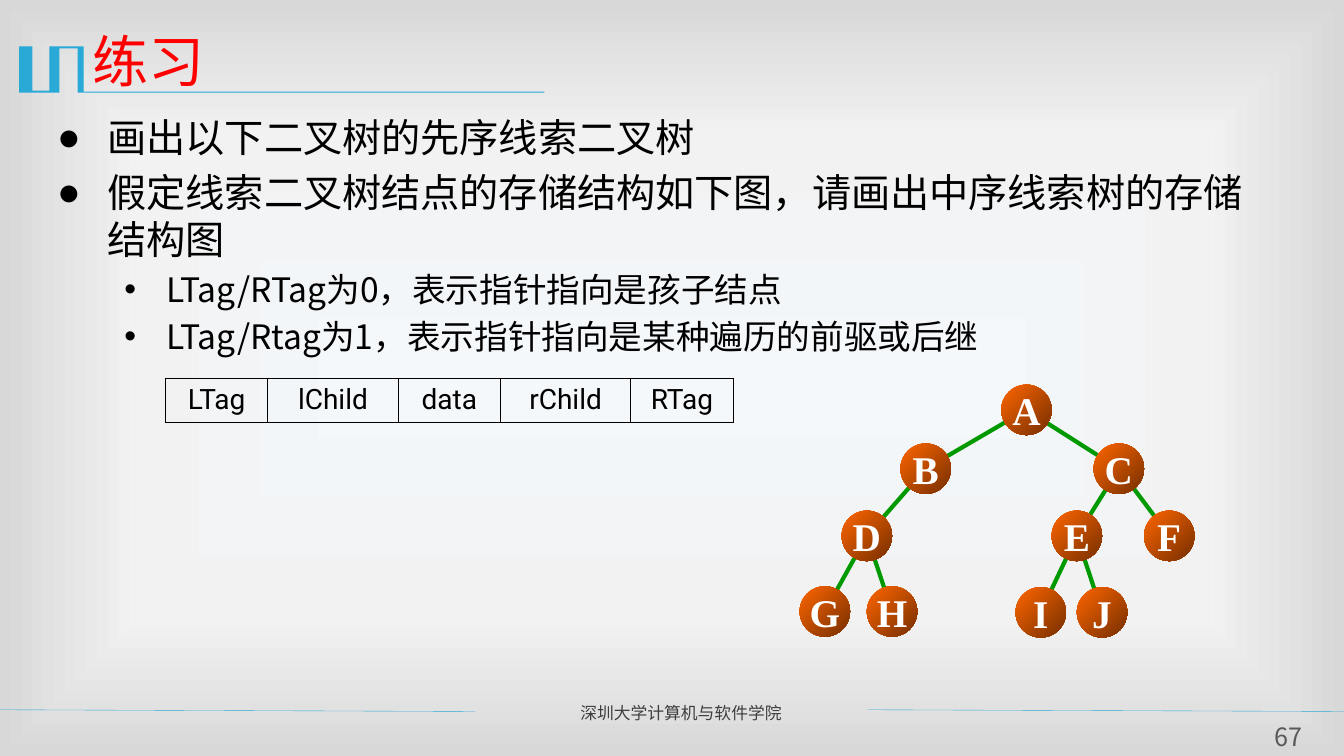
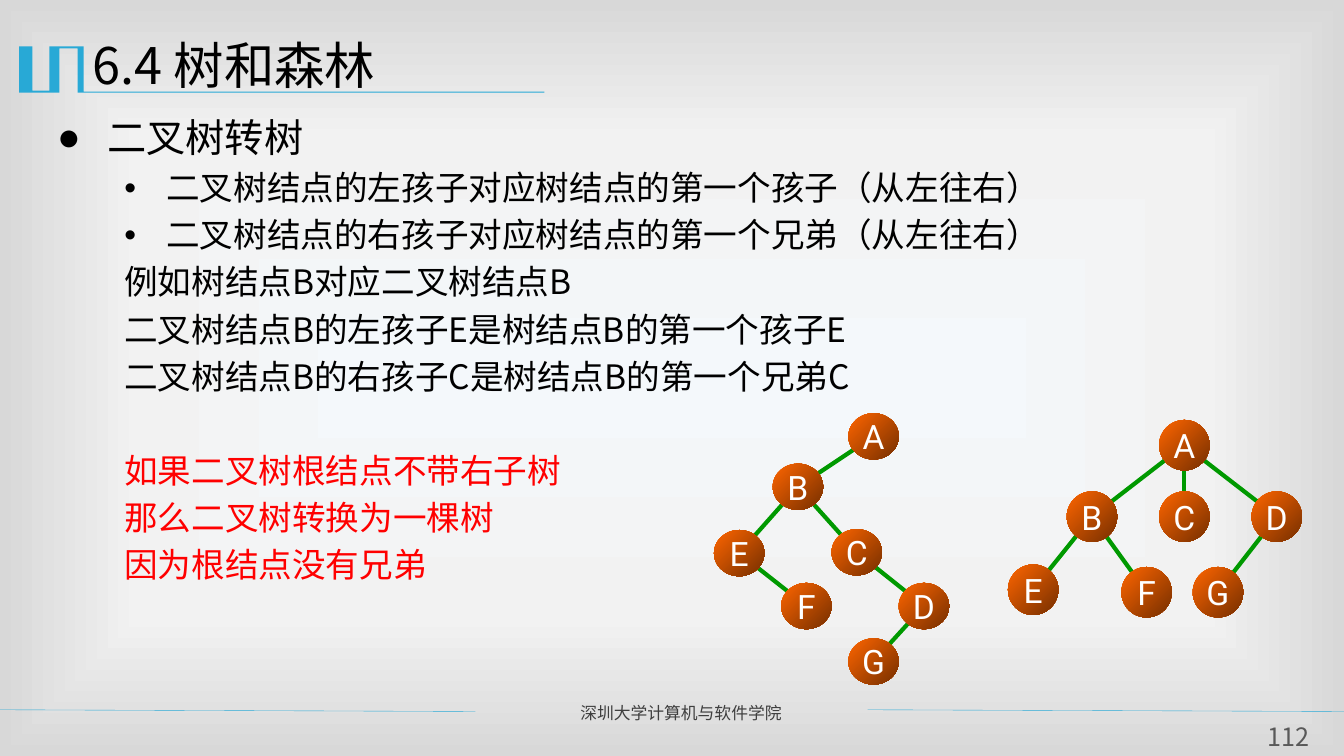
import copy

import lxml.etree
import pptx
import pptx.chart.data
import pptx.dml.color
import pptx.enum.shapes
import pptx.enum.text
import pptx.oxml.ns
import pptx.util

COLS, ROWS = 160, 90
SANS, ROBO, TIMES = "Noto Sans CJK SC", "Roboto", "Times New Roman"
BLACK, WHITE, RED, GREEN, BLUE = "000000", "FFFFFF", "FF0000", "009900", "28A9D6"
ALIGN = pptx.enum.text.PP_ALIGN
ANCHOR = pptx.enum.text.MSO_ANCHOR
qn = pptx.oxml.ns.qn


def cell(count):
    return pptx.util.Emu(round(count * 76200))


def area(*box):
    return [cell(part) for part in box]


def hue(code):
    return pptx.dml.color.RGBColor.from_string(code)


def grade(fill, codes):
    for stop, code in zip(fill.gradient_stops, codes):
        stop.color.rgb = hue(code)


def write(frame, text, size=24, color=BLACK, face=SANS, bold=False,
          align=ALIGN.LEFT, before=0, mark="", left=0, hang=0):
    first = not frame.text
    para = frame.paragraphs[0] if first else frame.add_paragraph()
    props = para._p.get_or_add_pPr()
    props.set("marL", str(cell(left)))
    props.set("indent", str(cell(-hang)))
    if mark:
        lxml.etree.SubElement(props, qn("a:buChar")).set("char", mark)
    else:
        lxml.etree.SubElement(props, qn("a:buNone"))
    para.alignment = align
    para.space_before = pptx.util.Pt(0 if first else before)
    if face == SANS:
        para.line_spacing = pptx.util.Pt(round(size * 1.2, 1))
        if first:
            frame.margin_top += pptx.util.Pt(size * 0.09)
    run = para.add_run()
    run.text = text
    font = run.font
    font.size, font.bold, font.name = pptx.util.Pt(size), bold, face
    font.color.rgb = hue(color)
    east = lxml.etree.SubElement(run._r.get_or_add_rPr(), qn("a:ea"))
    east.set("typeface", face)


def setup(frame, inset=None, anchor=ANCHOR.TOP, wrap=True):
    frame.auto_size = pptx.enum.text.MSO_AUTO_SIZE.NONE
    frame.word_wrap = wrap
    frame.vertical_anchor = anchor
    if inset is not None:
        frame.margin_left = frame.margin_right = cell(inset)
        frame.margin_top = frame.margin_bottom = cell(inset)
    return frame


def label(slide, box, text, inset=None, **style):
    shape = slide.shapes.add_textbox(*area(*box))
    write(setup(shape.text_frame, inset), text, **style)
    return shape


def line(slide, start, end, color, width):
    link = slide.shapes.add_connector(
        pptx.enum.shapes.MSO_CONNECTOR.STRAIGHT, *area(*start, *end))
    link.line.color.rgb = hue(color)
    link.line.width = pptx.util.Pt(width)
    lxml.etree.SubElement(link._element.spPr, qn("a:effectLst"))
    return link


def emblem(slide):
    points = [(9.84, 5.52), (9.96, 5.52), (9.96, 10.92), (64.8, 10.92),
              (64.8, 11.04), (9.24, 11.04), (9.24, 5.76), (7.08, 5.76),
              (7.08, 11.04), (2.28, 11.04), (2.28, 5.52), (3.84, 5.52),
              (3.84, 10.8), (5.88, 10.8), (5.88, 5.52)]
    points = [(round(x * 100), round(y * 100)) for x, y in points]
    maker = slide.shapes.build_freeform(*points[0], scale=762)
    maker.add_line_segments(points[1:], close=True)
    shape = maker.convert_to_shape()
    shape.shadow.inherit = False
    shape.fill.solid()
    shape.fill.fore_color.rgb = hue(BLUE)
    shape.line.fill.background()
    return shape


def paint(layout):
    fill = layout.background.fill
    fill.gradient()
    grad = next(layout.element.iter(qn("a:gradFill")))
    stops = grad.find(qn("a:gsLst"))
    stops.insert(1, copy.deepcopy(stops[0]))
    grade(fill, ["F4F8FB", "F2F2F2", "D8D8D8"])
    for stop, place in zip(fill.gradient_stops, (0, 0.63, 1)):
        stop.position = place
    old = grad.find(qn("a:lin"))
    ring = lxml.etree.Element(qn("a:path"), path="rect")
    rect = lxml.etree.SubElement(ring, qn("a:fillToRect"))
    for side in "ltrb":
        rect.set(side, "50000")
    grad.replace(old, ring)


def dress(layout, slide):
    for holder in list(layout.placeholders)[2:]:
        holder.element.getparent().remove(holder.element)
    paint(layout)
    parts = [
        emblem(slide),
        line(slide, (0, 84.5), (56.6, 84.7), BLUE, 0.25),
        label(slide, (67.9, 82.9, 34.2, 3.6), "深圳大学计算机与软件学院",
              size=12, color="3F3F3F"),
        line(slide, (103.3, 84.5), (COLS, 84.7), BLUE, 0.25),
    ]
    for part in parts:
        layout.element.cSld.spTree.append(part.element)


def head(slide, text, top, **style):
    title = slide.shapes.title
    title.left, title.top, title.width, title.height = area(9.8, top, 144, 10.4)
    write(setup(title.text_frame), text, **style)


def body(slide, items):
    holder = slide.placeholders[1]
    holder.left, holder.top, holder.width, holder.height = area(5.6, 12.5, 145.6, 67.6)
    frame = setup(holder.text_frame)
    for text, style in items:
        write(frame, text, **style)


def number(slide, text):
    label(slide, (149.8, 85.6, 7.1, 3.7), text, inset=0, size=18,
          color="595959", align=ALIGN.CENTER)


def record(slide, box, names, widths):
    table = slide.shapes.add_table(1, len(names), *area(*box)).table
    table.first_row = table.horz_banding = False
    for index, (name, width) in enumerate(zip(names, widths)):
        table.columns[index].width = cell(width)
        field = table.cell(0, index)
        field.fill.background()
        field.vertical_anchor = ANCHOR.MIDDLE
        field.margin_top = field.margin_bottom = cell(0.4)
        write(field.text_frame, name, size=20, face=ROBO, align=ALIGN.CENTER)
        props = field._tc.get_or_add_tcPr()
        for place, side in enumerate(("lnL", "lnR", "lnT", "lnB")):
            edge = lxml.etree.Element(qn("a:" + side), w="9525")
            solid = lxml.etree.SubElement(edge, qn("a:solidFill"))
            lxml.etree.SubElement(solid, qn("a:srgbClr")).set("val", BLACK)
            props.insert(place, edge)


def tree(slide, origin, nodes, links, tall=6, **style):
    wide = 6
    left, top = origin
    spots = {name: (left + x, top + y) for name, (x, y) in nodes.items()}
    mids = {name: (x + wide / 2, y + tall / 2) for name, (x, y) in spots.items()}
    for start, end in links.split():
        line(slide, mids[start], mids[end], GREEN, 3)
    for name, spot in spots.items():
        ball = slide.shapes.add_shape(
            pptx.enum.shapes.MSO_SHAPE.OVAL, *area(*spot, wide, tall))
        ball.shadow.inherit = False
        ball.fill.gradient()
        ball.fill.gradient_angle = 315
        grade(ball.fill, ["FF6600", "762F00"])
        ball.line.fill.background()
        frame = setup(ball.text_frame, 0, ANCHOR.MIDDLE, False)
        write(frame, name, color=WHITE, align=ALIGN.CENTER, **style)


TOP = dict(size=28, before=5.6, mark="●", left=6, hang=6)
SUB = dict(before=4.8, mark="•", left=13, hang=5)
PLAIN = dict(before=4.8, left=8)
WARN = dict(PLAIN, color=RED)


def task(slide):
    head(slide, "练习", 1.9, size=40, color=RED)
    body(slide, [
        ("画出以下二叉树的先序线索二叉树", TOP),
        ("假定线索二叉树结点的存储结构如下图，请画出中序线索树的存储结构图", TOP),
        ("LTag/RTag为0，表示指针指向是孩子结点", SUB),
        ("LTag/Rtag为1，表示指针指向是某种遍历的前驱或后继", SUB),
    ])
    record(slide, (19.7, 45, 67.6, 5.3),
           ["LTag", "lChild", "data", "rChild", "RTag"],
           [12.2, 15.5, 12.2, 15.5, 12.2])
    nodes = dict(A=(24, 0), B=(12, 7), C=(35, 7), D=(5, 15), E=(30, 15),
                 F=(41, 15), G=(0, 24), H=(8, 24), I=(25.7, 24.1), J=(33, 24.1))
    tree(slide, (95.2, 45.8), nodes, "AB AC BD CE CF DG DH EI EJ",
         size=28, face=TIMES, bold=True)
    number(slide, "67")


def forest(slide):
    head(slide, "6.4 树和森林", 2.9, size=36)
    body(slide, [
        ("二叉树转树", TOP),
        ("二叉树结点的左孩子对应树结点的第一个孩子（从左往右）", SUB),
        ("二叉树结点的右孩子对应树结点的第一个兄弟（从左往右）", SUB),
        ("例如树结点B对应二叉树结点B", PLAIN),
        ("二叉树结点B的左孩子E是树结点B的第一个孩子E", PLAIN),
        ("二叉树结点B的右孩子C是树结点B的第一个兄弟C", PLAIN),
        ("如果二叉树根结点不带右子树", dict(WARN, before=38.4)),
        ("那么二叉树转换为一棵树", WARN),
        ("因为根结点没有兄弟", WARN),
    ])
    pair = dict(A=(16, 0), B=(7, 6), C=(14, 13.8), D=(22, 20.2),
                E=(0, 13.9), F=(8, 20.2), G=(16, 26.8))
    tree(slide, (85, 49.2), pair, "AB BE BC EF CD DG", tall=5.5, face=ROBO)
    wide = dict(A=(18, 0), B=(7, 8.5), C=(18, 8.5), D=(29, 8.5),
                E=(0, 17.2), F=(13.5, 17.5), G=(22, 17.5))
    tree(slide, (120, 50), wide, "AB AC AD BE BF DG", face=ROBO)
    number(slide, "112")


def main():
    deck = pptx.Presentation()
    deck.slide_width, deck.slide_height = area(COLS, ROWS)
    layout = deck.slide_layouts[1]
    pages = [deck.slides.add_slide(layout) for _ in range(2)]
    dress(layout, pages[0])
    for build, page in zip((task, forest), pages):
        build(page)
    deck.save("out.pptx")


if __name__ == "__main__":
    main()
